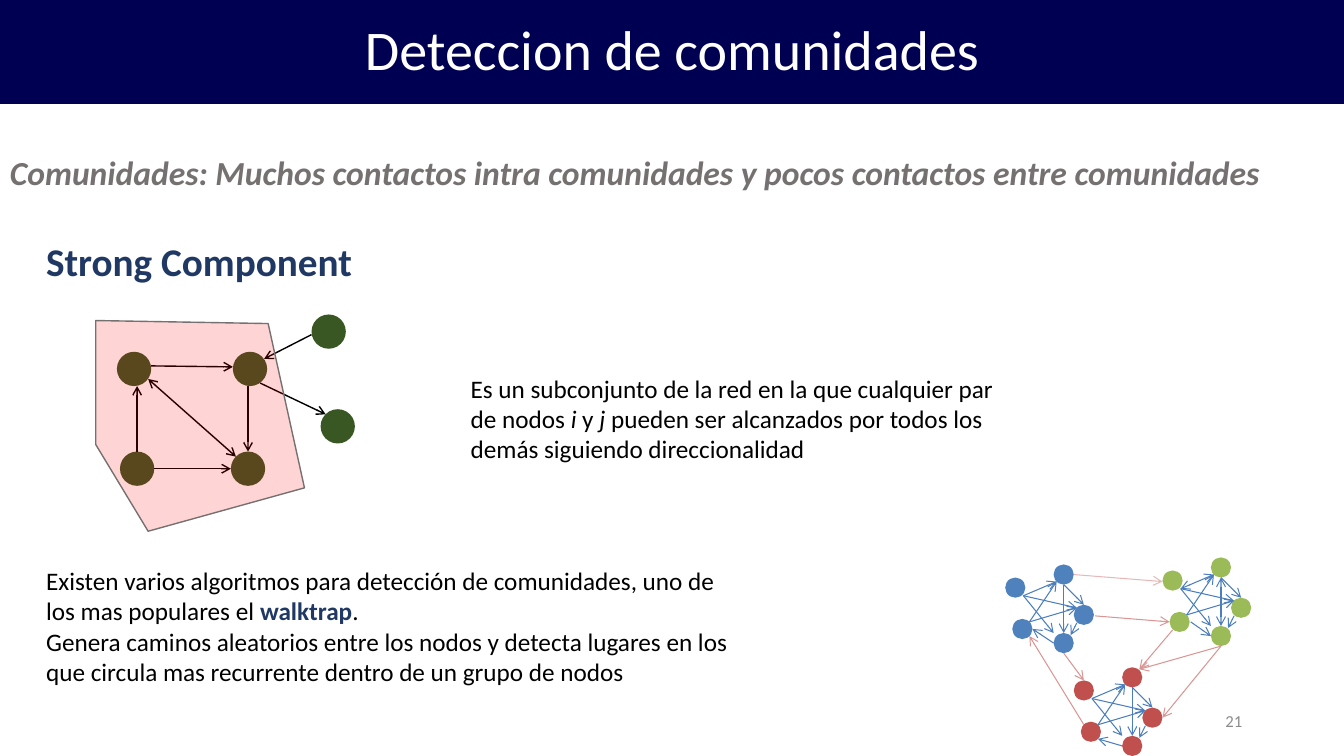
from lxml import etree
from pptx import Presentation
from pptx.dml.color import RGBColor
from pptx.enum.shapes import MSO_CONNECTOR, MSO_SHAPE
from pptx.enum.text import MSO_ANCHOR, PP_ALIGN
from pptx.oxml.ns import qn
from pptx.util import Inches, Pt

COLORS = {
    "banner": "000053", "white": "FFFFFF", "black": "000000", "number": "8C8C8C",
    "gray": "767171", "navy": "203864", "strong": "385723", "area": "FF0000",
    "blue": "4F81BD", "red": "C0504D", "green": "9BBB59",
    "inner": "4B7EBC", "outer": "D99694", "outer_light": "E6B9B8",
}


def add_text(box, paragraphs, size, wrap=True):
    """Add a text box; each paragraph is a list of (text, color, style) runs, style holding b and/or i."""
    frame = slide.shapes.add_textbox(*map(Inches, box)).text_frame
    frame.word_wrap = wrap
    for index, runs in enumerate(paragraphs):
        paragraph = frame.add_paragraph() if index else frame.paragraphs[0]
        for text, color, style in runs:
            run = paragraph.add_run()
            run.text = text
            run.font.name = "Calibri"
            run.font.size = Pt(size)
            run.font.bold = "b" in style
            run.font.italic = "i" in style
            run.font.color.rgb = RGBColor.from_string(COLORS[color])
    return frame


def add_arrow(start, end, color, width=0.75, both=False):
    arrow = slide.shapes.add_connector(MSO_CONNECTOR.STRAIGHT, *map(Inches, start + end))
    arrow.line.color.rgb = RGBColor.from_string(COLORS[color])
    arrow.line.width = Pt(width)
    line = arrow.line._get_or_add_ln()
    for tag in ("a:headEnd", "a:tailEnd") if both else ("a:tailEnd",):
        etree.SubElement(line, qn(tag), type="arrow")
    etree.SubElement(arrow._element.spPr, qn("a:effectLst"))


prs = Presentation()
prs.slide_width, prs.slide_height = Inches(13.33), Inches(7.5)
slide = prs.slides.add_slide(prs.slide_layouts[5])

# Title banner and slide number
title = slide.shapes.title
title.left, title.top, title.width, title.height = map(Inches, (0, 0, 13.33, 1.03))
title.fill.solid()
title.fill.fore_color.rgb = RGBColor.from_string(COLORS["banner"])
title.text_frame.text = "Deteccion de comunidades"
title.text_frame.vertical_anchor = MSO_ANCHOR.MIDDLE
heading = title.text_frame.paragraphs[0]
heading.alignment = PP_ALIGN.CENTER
heading.line_spacing = 0.9
heading.font.name = "Calibri"
heading.font.size = Pt(40)
heading.font.color.rgb = RGBColor.from_string(COLORS["white"])

page_number = add_text((9.42, 6.95, 3, 0.4), [[("21", "number", "")]], 12)
page_number.vertical_anchor = MSO_ANCHOR.MIDDLE
page_number.paragraphs[0].alignment = PP_ALIGN.RIGHT

# Nodes of the strong component and of the three communities
communities = {"blue": (9.97, 5.73), "red": (10.65, 6.75), "green": (11.53, 5.66)}
member_offsets = [(0, 0), (0.07, 0.41), (0.48, -0.13), (0.68, 0.27), (0.48, 0.55)]
strong_nodes = [(2.29, 4.48), (2.31, 3.49), (1.16, 3.49), (1.19, 4.48), (3.18, 4.06), (3.09, 3.12)]
nodes = [(x, y, 0.34, "strong") for x, y in strong_nodes]
nodes += [(x + dx, y + dy, 0.2, color)
          for color, (x, y) in communities.items() for dx, dy in member_offsets]
for x, y, diameter, color in nodes:
    node = slide.shapes.add_shape(MSO_SHAPE.OVAL, *map(Inches, (x, y, diameter, diameter)))
    node.shadow.inherit = False
    node.fill.solid()
    node.fill.fore_color.rgb = RGBColor.from_string(COLORS[color])
    node.line.fill.background()

# Strong component: links under a translucent area
strong_links = [
    ((1.5, 3.63), (2.31, 3.64)), ((1.36, 4.48), (1.36, 3.83)), ((2.46, 3.83), (2.46, 4.48)),
    ((2.58, 3.8), (3.23, 4.11)), ((3.09, 3.32), (2.62, 3.56)), ((1.53, 4.65), (2.29, 4.65)),
]
for start, end in strong_links:
    add_arrow(start, end, "black", 1)
add_arrow((2.34, 4.53), (1.47, 3.76), "black", 1, both=True)

corners = [(Inches(x), Inches(y))
           for x, y in [(0.95, 4.41), (0.95, 3.18), (2.66, 3.21), (3.02, 4.84), (1.47, 5.27)]]
outline = slide.shapes.build_freeform(*corners[0])
outline.add_line_segments(corners[1:], close=True)
area = outline.convert_to_shape()
area.shadow.inherit = False
area.fill.solid()
area.fill.fore_color.rgb = RGBColor.from_string(COLORS["area"])
area_color = area._element.spPr.find(qn("a:solidFill")).find(qn("a:srgbClr"))
etree.SubElement(area_color, qn("a:alpha"), val="17000")
area.line.color.rgb = RGBColor.from_string(COLORS["gray"])
area.line.width = Pt(1)

# Links inside each community, relative to its first node
inner_links = [
    ((0.18, 0.18), (0.48, 0.55)), ((0.24, 0.44), (0.51, 0.04)), ((0.18, 0.18), (0.71, 0.3)),
    ((0.24, 0.44), (0.71, 0.3)), ((0.71, 0.45), (0.65, 0.57)), ((0.18, 0.18), (0.51, 0.04)),
    ((0.58, 0.07), (0.58, 0.55)), ((0.58, 0.07), (0.78, 0.27)),
]
bottom_links = {
    "blue": ((0.48, 0.65), (0.27, 0.51)),
    "red": ((0.48, 0.65), (0.24, 0.58)),
    "green": ((0.28, 0.51), (0.48, 0.65)),
}
green_mutual = (5, 6)
for color, (x, y) in communities.items():
    for index, (start, end) in enumerate(inner_links + [bottom_links[color]]):
        add_arrow((x + start[0], y + start[1]), (x + end[0], y + end[1]), "inner",
                  both=color == "green" and index in green_mutual)

# Links between communities
outer_links = [
    ((10.86, 6.11), (11.6, 6.17)), ((10.55, 6.48), (10.75, 6.75)), ((12.11, 6.41), (11.53, 7.12)),
    ((11.63, 6.25), (11.3, 6.64)), ((10.75, 7.19), (10.21, 6.31)), ((12.11, 6.41), (11.3, 6.64)),
]
add_arrow((10.65, 5.7), (11.53, 5.77), "outer_light")
for start, end in outer_links:
    add_arrow(start, end, "outer")

# Texts
add_text((0, 1.46, 12.7, 0.5), [[
    ("Comunidades: Muchos contactos intra comunidades y pocos contactos entre comunidades", "gray", "bi"),
]], 24, wrap=False)
add_text((0.36, 2.31, 3.27, 0.57), [[("Strong Component", "navy", "b")]], 28, wrap=False)
add_text((4.57, 3.65, 5.67, 1.01), [[
    ("Es un subconjunto de la red en la que cualquier par de nodos ", "black", ""),
    ("i", "black", "i"),
    (" y ", "black", ""),
    ("j", "black", "i"),
    (" pueden ser alcanzados por todos los demás siguiendo direccionalidad", "black", ""),
]], 18)
add_text((0.36, 5.56, 7.17, 1.31), [
    [
        ("Existen varios algoritmos para detección de comunidades, uno de los mas populares el ", "black", ""),
        ("walktrap", "navy", "b"),
        (".", "black", ""),
    ],
    [("Genera caminos aleatorios entre los nodos y detecta lugares en los que circula mas recurrente "
      "dentro de un grupo de nodos", "black", "")],
], 18)

prs.save("out.pptx")
